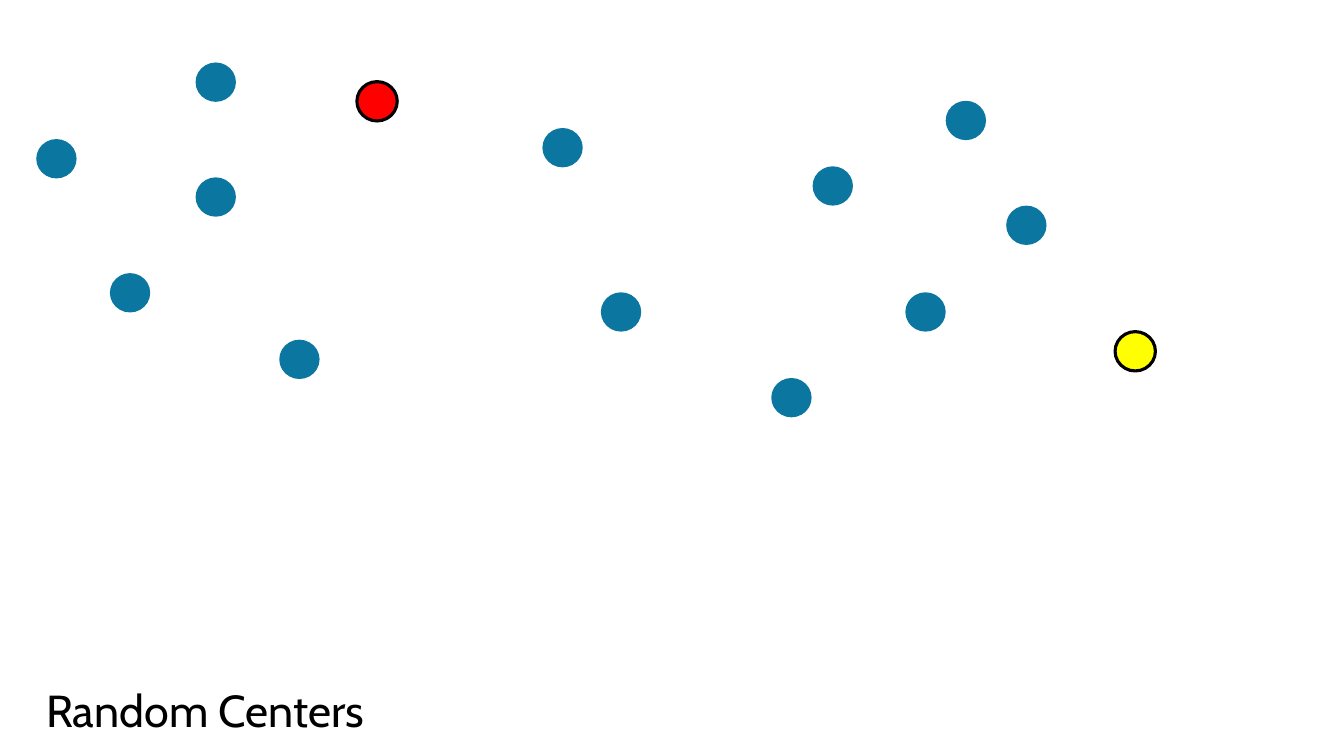
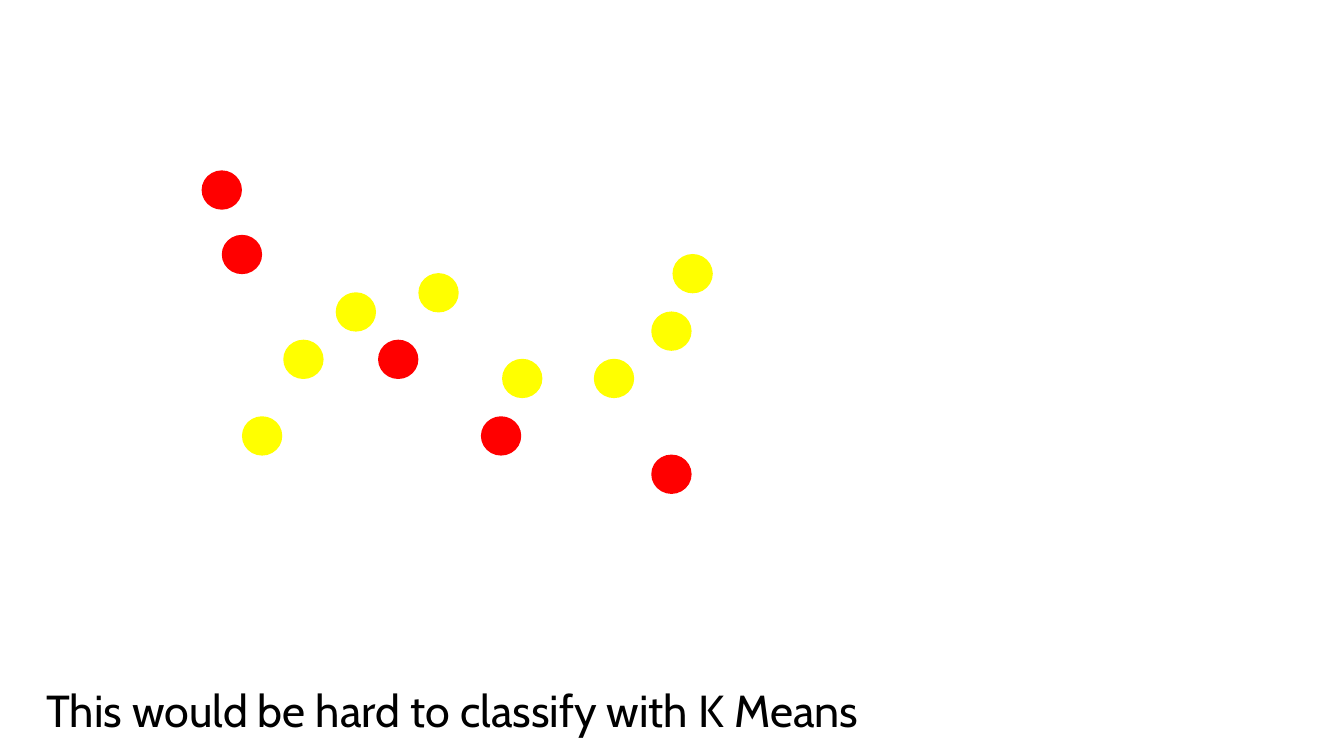
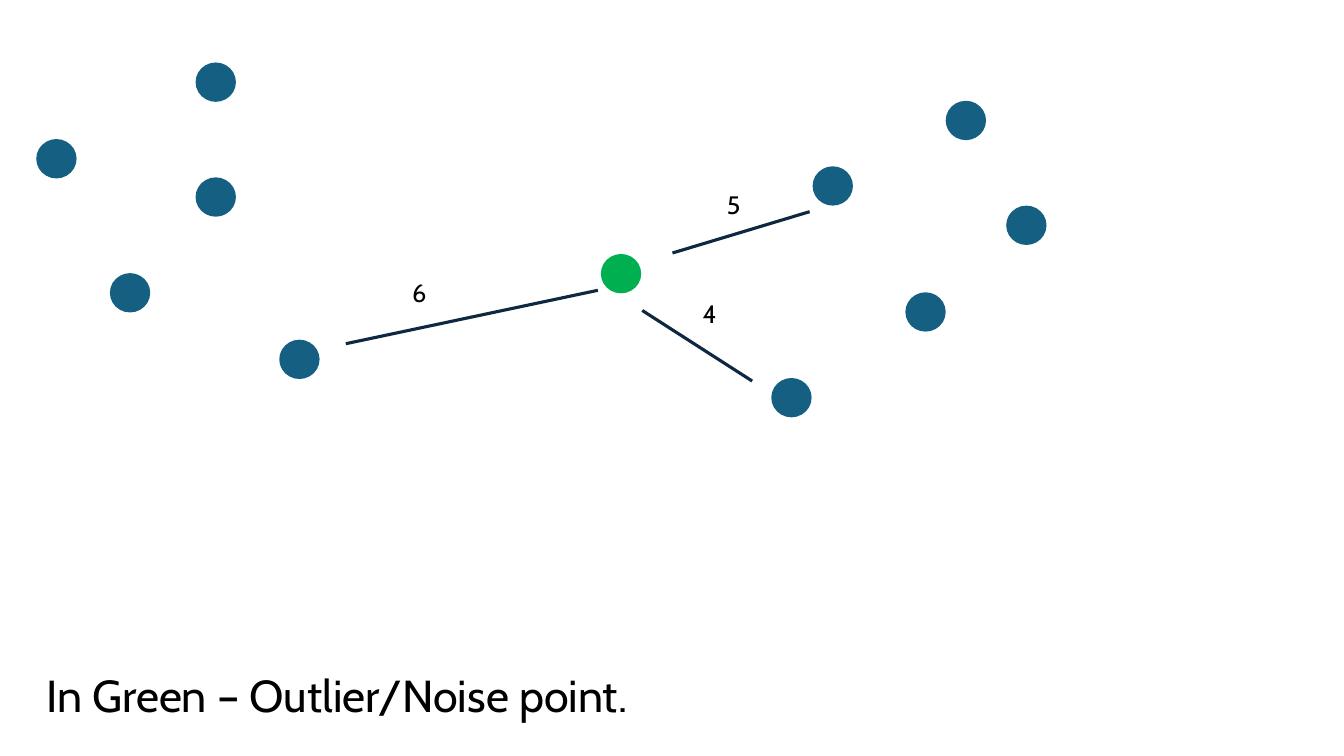
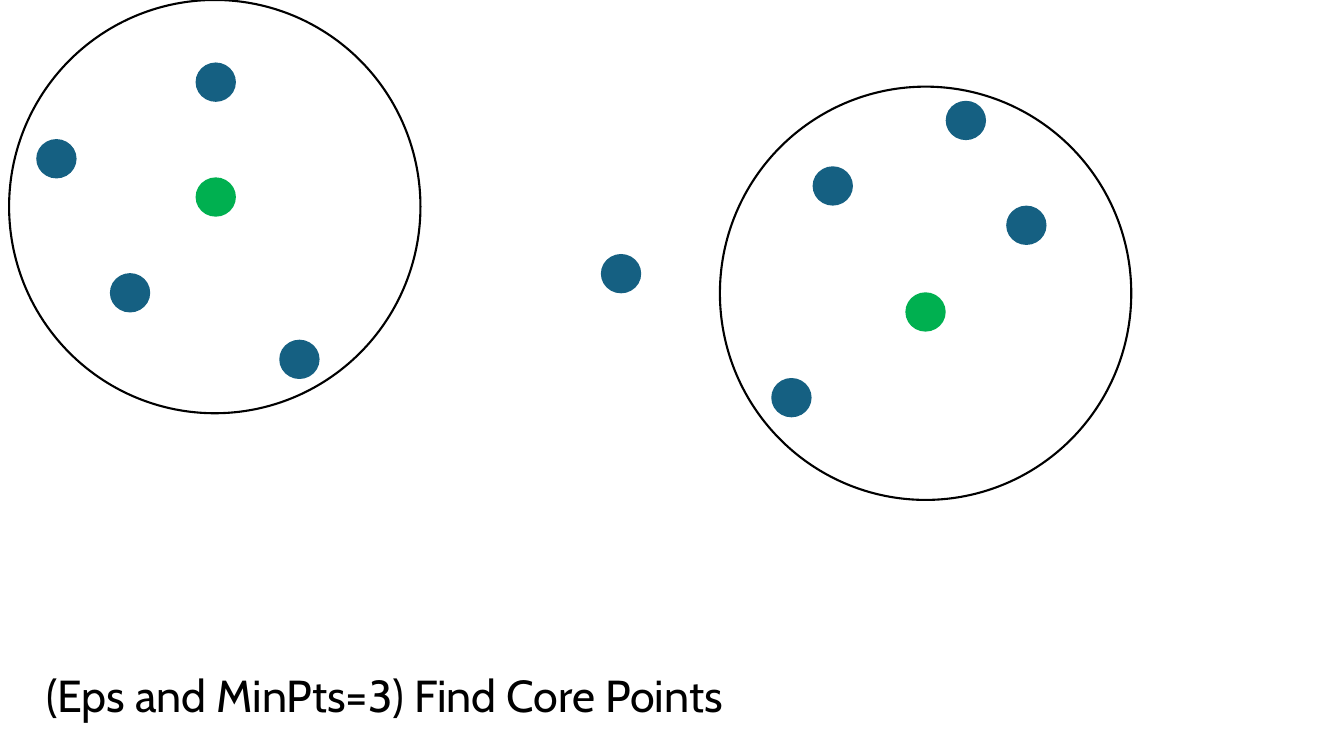
import dataclasses

import pptx
import pptx.dml.color
import pptx.enum.shapes
import pptx.enum.text
import pptx.oxml.xmlchemy
import pptx.util
from pptx.util import Inches


@dataclasses.dataclass(frozen=True)
class Theme:
    font: str = "Cabin"
    title: int = 32
    label: int = 18
    black: str = "000000"
    white: str = "FFFFFF"
    azure: str = "0B76A0"
    teal: str = "156082"
    navy: str = "0E2841"
    red: str = "FF0000"
    yellow: str = "FFFF00"
    green: str = "00B050"
    thin: float = 1.5
    thick: float = 2.25


LEFT = [(1.94, 0.62), (1.09, 2.71), (0.36, 1.38), (2.77, 3.37)]
RIGHT = [(7.65, 3.75), (9.98, 2.04), (8.06, 1.65), (9.38, 1)]
CORES = [(1.94, 1.76), (8.98, 2.9)]
CLOUD = LEFT + RIGHT
LONE = (5.96, 2.52)


def tint(code):
    return pptx.dml.color.RGBColor.from_string(code)


class Deck:
    def __init__(self, theme):
        self.theme = theme
        self.file = pptx.Presentation()
        self.file.slide_width = Inches(13.33)
        self.file.slide_height = Inches(7.5)
        self.slide = None

    def page(self, title, top=6.58, width=8.98):
        """Start a slide with its title at the foot."""
        self.slide = self.file.slides.add_slide(self.file.slide_layouts[6])
        fill = self.slide.background.fill
        fill.solid()
        fill.fore_color.rgb = tint(self.theme.white)
        self.text(title, 0.36, top, width=width, height=0.64,
                  size=self.theme.title)

    def text(self, words, left, top, width=0.48, height=0.4, size=None,
             color=None):
        box = self.slide.shapes.add_textbox(
            Inches(left), Inches(top), Inches(width), Inches(height))
        frame = box.text_frame
        frame.word_wrap = True
        frame.auto_size = pptx.enum.text.MSO_AUTO_SIZE.SHAPE_TO_FIT_TEXT
        run = frame.paragraphs[0].add_run()
        run.text = words
        run.font.name = self.theme.font
        run.font.size = pptx.util.Pt(size or self.theme.label)
        run.font.color.rgb = tint(color or self.theme.black)

    def oval(self, left, top, width, height, fill=None, edge=None):
        """Draw an ellipse; edge is a black outline width in points."""
        shape = self.slide.shapes.add_shape(
            pptx.enum.shapes.MSO_SHAPE.OVAL,
            Inches(left), Inches(top), Inches(width), Inches(height))
        shape.shadow.inherit = False
        if fill:
            shape.fill.solid()
            shape.fill.fore_color.rgb = tint(fill)
        else:
            shape.fill.background()
        if edge:
            shape.line.color.rgb = tint(self.theme.black)
            shape.line.width = pptx.util.Pt(edge)
        else:
            shape.line.fill.background()

    def dots(self, spots, fill, edge=None):
        for left, top in spots:
            self.oval(left, top, 0.4, 0.39, fill=fill, edge=edge)

    def ring(self, left, top):
        self.oval(left, top, 4.08, 4.1, edge=self.theme.thin)

    def line(self, start, end):
        link = self.slide.shapes.add_connector(
            pptx.enum.shapes.MSO_CONNECTOR.STRAIGHT,
            *(Inches(value) for value in start + end))
        link.line.color.rgb = tint(self.theme.navy)
        link.line.width = pptx.util.Pt(self.theme.thick)
        props = link._element.spPr
        props.append(pptx.oxml.xmlchemy.OxmlElement("a:effectLst"))


def centers(deck):
    look = deck.theme
    deck.page("Random Centers", top=6.72, width=5.44)
    deck.dots(CLOUD + CORES + [(5.38, 1.27), (5.96, 2.9)], look.azure)
    deck.dots([(3.54, 0.81)], look.red, edge=look.thick)
    deck.dots([(11.06, 3.29)], look.yellow, edge=look.thick)


def mixed(deck):
    look = deck.theme
    deck.page("This would be hard to classify with K Means",
              top=6.72, width=9.24)
    deck.dots([(2, 1.69), (2.2, 2.33), (3.75, 3.37), (4.77, 4.13),
               (6.46, 4.51)], look.red)
    deck.dots([(2.4, 4.13), (2.81, 3.37), (3.33, 2.9), (4.15, 2.71),
               (4.98, 3.56), (5.89, 3.56), (6.46, 3.09), (6.67, 2.52)],
              look.yellow)


def noise(deck):
    look = deck.theme
    deck.page("In Green – Outlier/Noise point.")
    deck.dots(CLOUD + CORES, look.teal)
    deck.dots([LONE], look.green)
    for start, end, gap, spot in [
        ((3.43, 3.41), (5.93, 2.88), "6", (3.99, 2.7)),
        ((6.67, 2.51), (8.03, 2.1), "5", (7.11, 1.83)),
        ((7.46, 3.78), (6.37, 3.08), "4", (6.87, 2.91)),
    ]:
        deck.line(start, end)
        deck.text(gap, *spot)


def cores(deck):
    look = deck.theme
    deck.page("(Eps and MinPts=3) Find Core Points")
    deck.dots(CLOUD + [LONE], look.teal)
    deck.dots(CORES, look.green)
    deck.ring(7.14, 0.86)
    deck.ring(0.09, 0)


def main():
    deck = Deck(Theme())
    for build in (centers, mixed, noise, cores):
        build(deck)
    deck.file.save("out.pptx")


if __name__ == "__main__":
    main()
